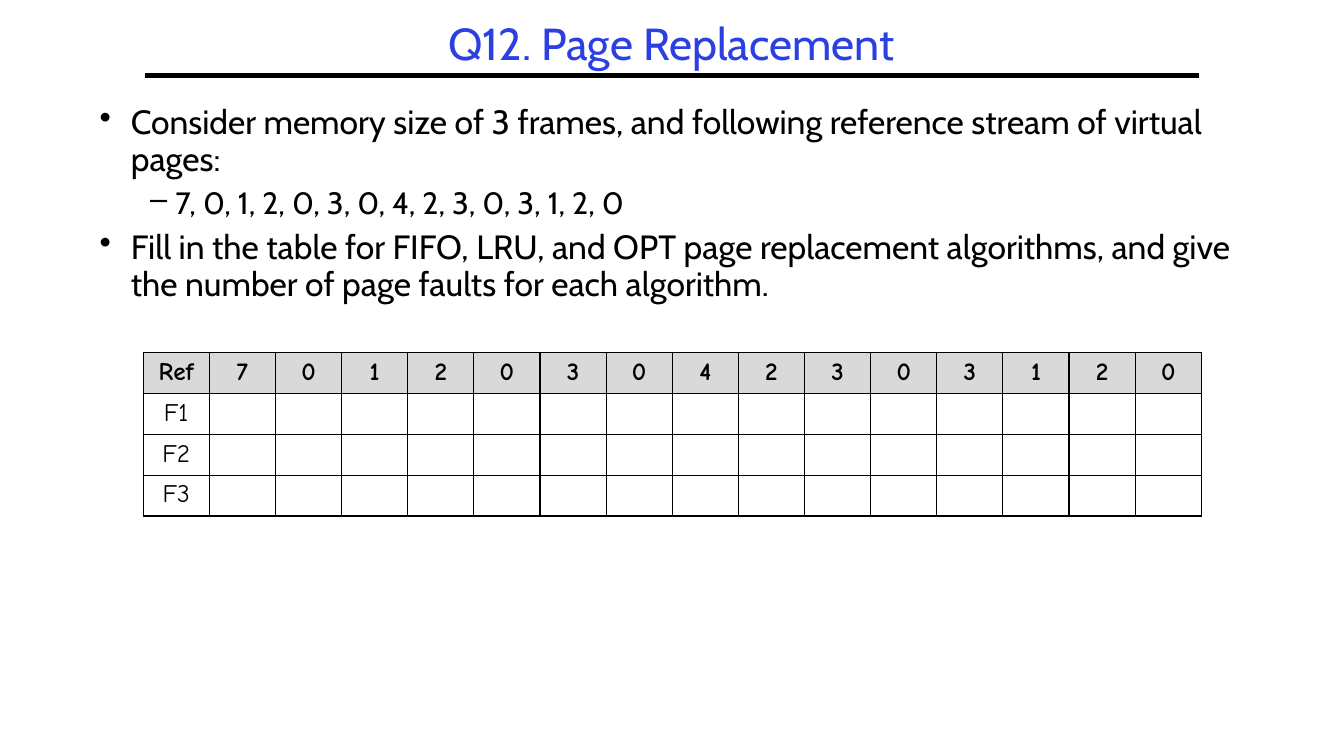
from dataclasses import dataclass

from lxml import etree
from pptx import Presentation
from pptx import util as u
from pptx.dml.color import RGBColor
from pptx.enum import shapes, text
from pptx.oxml import ns

HEADING = "Q12. Page Replacement"
REFERENCES = [7, 0, 1, 2, 0, 3, 0, 4, 2, 3, 0, 3, 1, 2, 0]
FRAMES = ["F1", "F2", "F3"]
INSTRUCTIONS = [
    (0, "Consider memory size of 3 frames, and following reference stream of virtual pages:"),
    (1, ", ".join(map(str, REFERENCES))),
    (0, "Fill in the table for FIFO, LRU, and OPT page replacement algorithms, "
        "and give the number of page faults for each algorithm."),
]
LEVELS = [
    {"bullet": "•", "size": 24, "left": 0.31, "hang": 0.31},
    {"bullet": "–", "size": 22, "left": 0.75, "hang": 0.25},
]


@dataclass(frozen=True)
class Theme:
    black: RGBColor = RGBColor(0, 0, 0)
    blue: RGBColor = RGBColor(0x2A, 0x40, 0xE2)
    grey: RGBColor = RGBColor(0xD9, 0xD9, 0xD9)
    body_font: str = "Cabin"
    table_font: str = "Comic Neue"
    heading_size: int = 32
    table_size: int = 18
    line_spacing: float = 0.9
    space_share: float = 0.3


THEME = Theme()


def set_all(target, values):
    for name, value in values.items():
        setattr(target, name, value)


def write(paragraph, words, font, size, color, bold=False):
    run = paragraph.add_run()
    run.text = words
    set_all(run.font, {"name": font, "size": u.Pt(size), "bold": bold})
    run.font.color.rgb = color


def add_bullet(paragraph, level):
    properties = paragraph._p.get_or_add_pPr()
    properties.set("marL", str(u.Inches(level["left"])))
    properties.set("indent", str(-u.Inches(level["hang"])))
    etree.SubElement(properties, ns.qn("a:buChar"), char=level["bullet"])


def add_borders(cell):
    properties = cell._tc.get_or_add_tcPr()
    for side in ("a:lnL", "a:lnR", "a:lnT", "a:lnB"):
        border = etree.SubElement(properties, ns.qn(side), w=str(u.Pt(1)))
        fill = etree.SubElement(border, ns.qn("a:solidFill"))
        etree.SubElement(fill, ns.qn("a:srgbClr"), val=str(THEME.black))


def add_heading(slide):
    heading = slide.shapes.title
    set_all(heading, {"left": u.Inches(1.44), "top": u.Inches(0.17),
                      "width": u.Inches(10.44), "height": u.Inches(0.58)})
    set_all(heading.text_frame, {"word_wrap": True, "auto_size": text.MSO_AUTO_SIZE.NONE,
                                 "vertical_anchor": text.MSO_ANCHOR.MIDDLE})
    line = heading.text_frame.paragraphs[0]
    set_all(line, {"alignment": text.PP_ALIGN.CENTER, "line_spacing": THEME.line_spacing})
    write(line, HEADING, THEME.body_font, THEME.heading_size, THEME.blue)

    rule = slide.shapes.add_connector(shapes.MSO_CONNECTOR.STRAIGHT, u.Inches(1.44),
                                      u.Inches(0.75), u.Inches(11.89), u.Inches(0.75))
    set_all(rule.line, {"width": u.Pt(3)})
    rule.line.color.rgb = THEME.black
    etree.SubElement(rule._element.spPr, ns.qn("a:effectLst"))


def add_instructions(slide):
    frame = slide.shapes.add_textbox(u.Inches(0.89), u.Inches(1),
                                     u.Inches(11.56), u.Inches(5.58)).text_frame
    frame.word_wrap = True
    for index, (depth, words) in enumerate(INSTRUCTIONS):
        level = LEVELS[depth]
        item = frame.add_paragraph() if index else frame.paragraphs[0]
        add_bullet(item, level)
        set_all(item, {"level": depth, "line_spacing": THEME.line_spacing})
        if index:
            item.space_before = u.Pt(level["size"] * THEME.space_share)
        write(item, words, THEME.body_font, level["size"], THEME.black)


def add_frame_table(slide):
    header = ["Ref", *map(str, REFERENCES)]
    rows = [header] + [[frame] + [""] * len(REFERENCES) for frame in FRAMES]
    width, height = u.Inches(10.5), u.Inches(1.62)
    table = slide.shapes.add_table(len(rows), len(header), u.Inches(1.42), u.Inches(3.5),
                                   width, height).table
    set_all(table, {"first_row": False, "horz_banding": False})
    for column in table.columns:
        column.width = width // len(header)
    for row_index, row in enumerate(rows):
        table.rows[row_index].height = height // len(rows)
        for column_index, words in enumerate(row):
            cell = table.cell(row_index, column_index)
            add_borders(cell)
            if row_index == 0:
                cell.fill.solid()
                cell.fill.fore_color.rgb = THEME.grey
            else:
                cell.fill.background()
            line = cell.text_frame.paragraphs[0]
            line.alignment = text.PP_ALIGN.CENTER
            if words:
                write(line, words, THEME.table_font, THEME.table_size, THEME.black,
                      bold=row_index == 0)


def main():
    deck = Presentation()
    set_all(deck, {"slide_width": u.Inches(13.33), "slide_height": u.Inches(7.5)})
    slide = deck.slides.add_slide(deck.slide_layouts[5])
    add_heading(slide)
    add_instructions(slide)
    add_frame_table(slide)
    deck.save("out.pptx")


if __name__ == "__main__":
    main()
